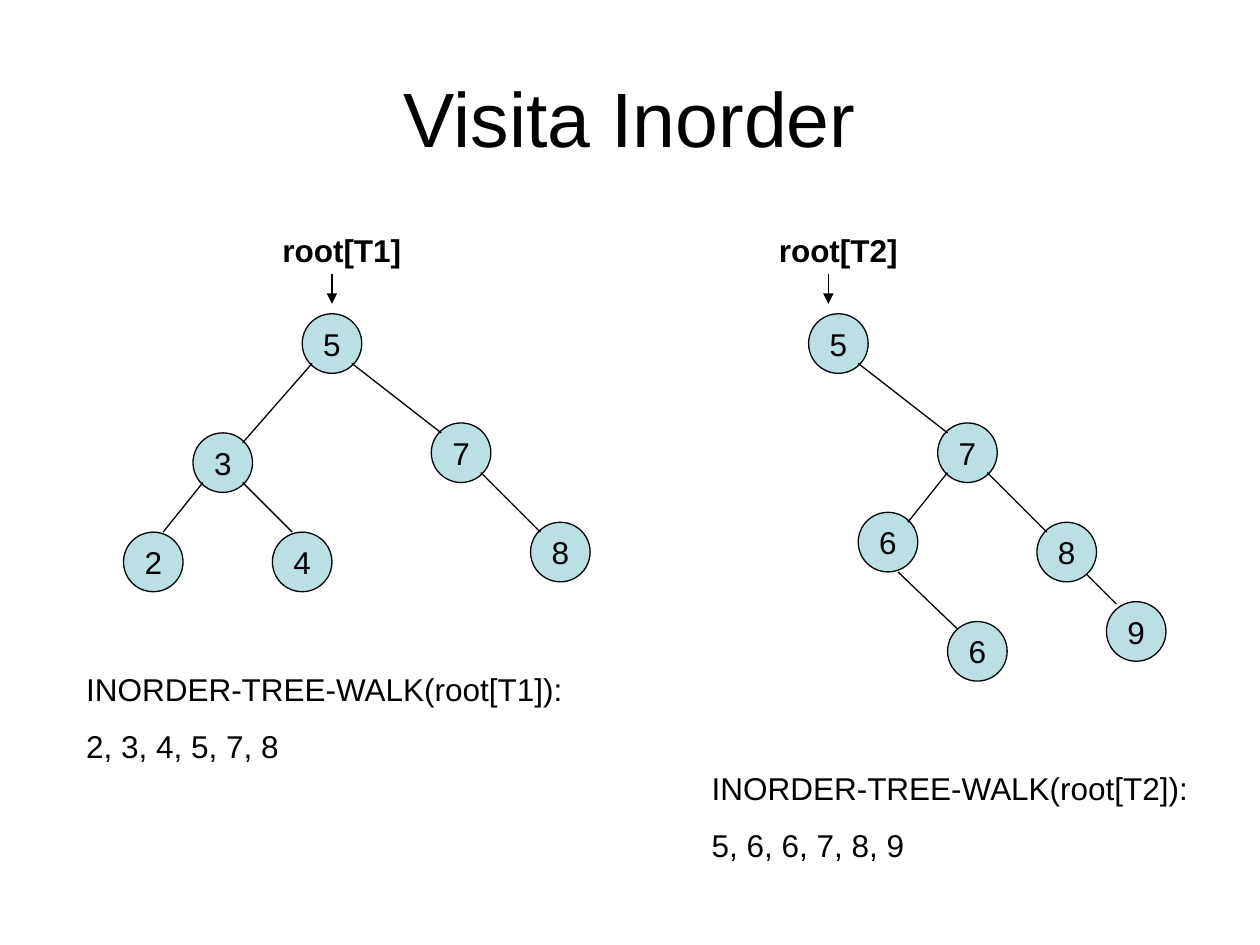
import pptx
import pptx.dml.color
import pptx.enum.shapes
import pptx.enum.text
import pptx.oxml
import pptx.oxml.ns
import pptx.util

COLORS = {"ink": "000000", "node": "BBE0E3", "paper": "FFFFFF"}
ALIGN = pptx.enum.text.PP_ALIGN
ANCHOR = pptx.enum.text.MSO_ANCHOR


class TreeSlide:
    font = "Arial"
    body_size = 18
    line_width = 0.75
    cell = 0.0788
    origin = (0.98, 2.49)
    node_cells = 6

    def __init__(self, presentation):
        self.slide = presentation.slides.add_slide(presentation.slide_layouts[6])
        background = self.slide.background.fill
        background.solid()
        background.fore_color.rgb = self.color("paper")

    def color(self, name):
        return pptx.dml.color.RGBColor.from_string(COLORS[name])

    def size(self, cells):
        return pptx.util.Inches(cells * self.cell)

    def point(self, column, row):
        left, top = self.origin
        return (pptx.util.Inches(left + column * self.cell),
                pptx.util.Inches(top + row * self.cell))

    def add_text(self, paragraph, text, size=body_size, bold=False):
        run = paragraph.add_run()
        run.text = text
        run.font.name = self.font
        run.font.size = pptx.util.Pt(size)
        run.font.bold = bold
        run.font.color.rgb = self.color("ink")

    def text_box(self, column, row, columns, rows, anchor=ANCHOR.TOP):
        shape = self.slide.shapes.add_textbox(
            *self.point(column, row), self.size(columns), self.size(rows))
        frame = shape.text_frame
        frame.word_wrap = True
        frame.vertical_anchor = anchor
        return frame

    def title(self, text):
        paragraph = self.text_box(-6.1, -27.8, 114.2, 15.9, ANCHOR.MIDDLE).paragraphs[0]
        paragraph.alignment = ALIGN.CENTER
        self.add_text(paragraph, text, 44)

    def node(self, column, row, key):
        side = self.size(self.node_cells)
        shape = self.slide.shapes.add_shape(
            pptx.enum.shapes.MSO_SHAPE.OVAL, *self.point(column, row), side, side)
        shape.shadow.inherit = False
        shape.fill.solid()
        shape.fill.fore_color.rgb = self.color("node")
        shape.line.color.rgb = self.color("ink")
        shape.line.width = pptx.util.Pt(self.line_width)
        frame = shape.text_frame
        frame.margin_left = frame.margin_right = 0
        frame.margin_top = frame.margin_bottom = 0
        frame.vertical_anchor = ANCHOR.MIDDLE
        paragraph = frame.paragraphs[0]
        paragraph.alignment = ALIGN.CENTER
        self.add_text(paragraph, key)

    def line(self, start, end, arrow=False):
        connector = self.slide.shapes.add_connector(
            pptx.enum.shapes.MSO_CONNECTOR.STRAIGHT, *self.point(*start), *self.point(*end))
        connector.line.color.rgb = self.color("ink")
        connector.line.width = pptx.util.Pt(self.line_width)
        namespace = pptx.oxml.ns.nsdecls("a")
        properties = connector._element.spPr
        if arrow:
            outline = properties.find(pptx.oxml.ns.qn("a:ln"))
            outline.append(pptx.oxml.parse_xml(f'<a:tailEnd {namespace} type="triangle"/>'))
        properties.append(pptx.oxml.parse_xml(f"<a:effectLst {namespace}/>"))

    def edge(self, parent, child, leave=None, enter=None):
        rightward = child[0] > parent[0]
        leave = leave or ((5, 5) if rightward else (1, 5))
        enter = enter or ((1, 1) if rightward else (5, 1))
        self.line((parent[0] + leave[0], parent[1] + leave[1]),
                  (child[0] + enter[0], child[1] + enter[1]))

    def root_label(self, column, name):
        paragraph = self.text_box(column, -9, 16, 5).paragraphs[0]
        paragraph.alignment = ALIGN.CENTER
        self.add_text(paragraph, f"root[{name}]", bold=True)
        self.line((column + 7, -4), (column + 7, -1), arrow=True)

    def walk(self, column, row, name, keys):
        frame = self.text_box(column, row, 53, 10)
        heading = frame.paragraphs[0]
        heading.line_spacing = 0.8
        heading.space_before = pptx.util.Pt(4.5)
        self.add_text(heading, f"INORDER-TREE-WALK(root[{name}]):")
        visited = frame.add_paragraph()
        visited.space_before = pptx.util.Pt(11.2)
        self.add_text(visited, ", ".join(sorted(keys)))

    def tree(self, name, nodes, edges, label_column, walk_at):
        for column, row, key in nodes:
            self.node(column, row, key)
        for parent, child, *ends in edges:
            self.edge(nodes[parent], nodes[child], *ends)
        self.root_label(label_column, name)
        self.walk(*walk_at, name, [key for _, _, key in nodes])


def main():
    presentation = pptx.Presentation()
    presentation.slide_width = pptx.util.Inches(10)
    presentation.slide_height = pptx.util.Inches(7.5)
    slide = TreeSlide(presentation)
    slide.title("Visita Inorder")
    slide.tree(
        "T1",
        nodes=[(18, 0, "5"), (31, 11, "7"), (15, 22, "4"),
               (0, 22, "2"), (7, 12, "3"), (41, 21, "8")],
        edges=[(0, 4), (4, 3, None, (4, 0)), (0, 1), (4, 2, None, (2, 0)), (1, 5)],
        label_column=14, walk_at=(-5, 36))
    slide.tree(
        "T2",
        nodes=[(69, 0, "5"), (82, 11, "7"), (74, 20, "6"),
               (92, 21, "8"), (83, 31, "6"), (99, 29, "9")],
        edges=[(0, 1), (1, 3), (1, 2), (2, 4, (4, 6), (1, 0.75)),
               (3, 5, (5, 5.25), (1, 0.25))],
        label_column=64, walk_at=(58, 46))
    presentation.save("out.pptx")


if __name__ == "__main__":
    main()
